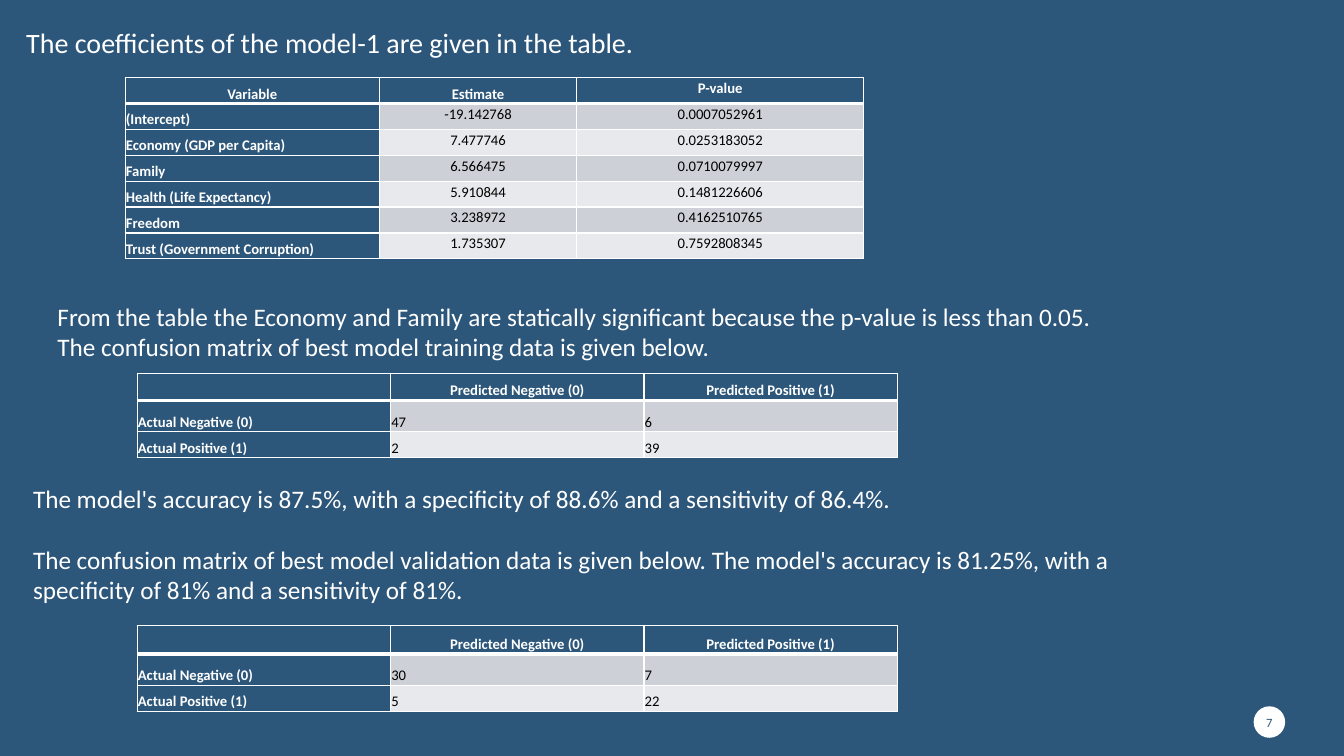
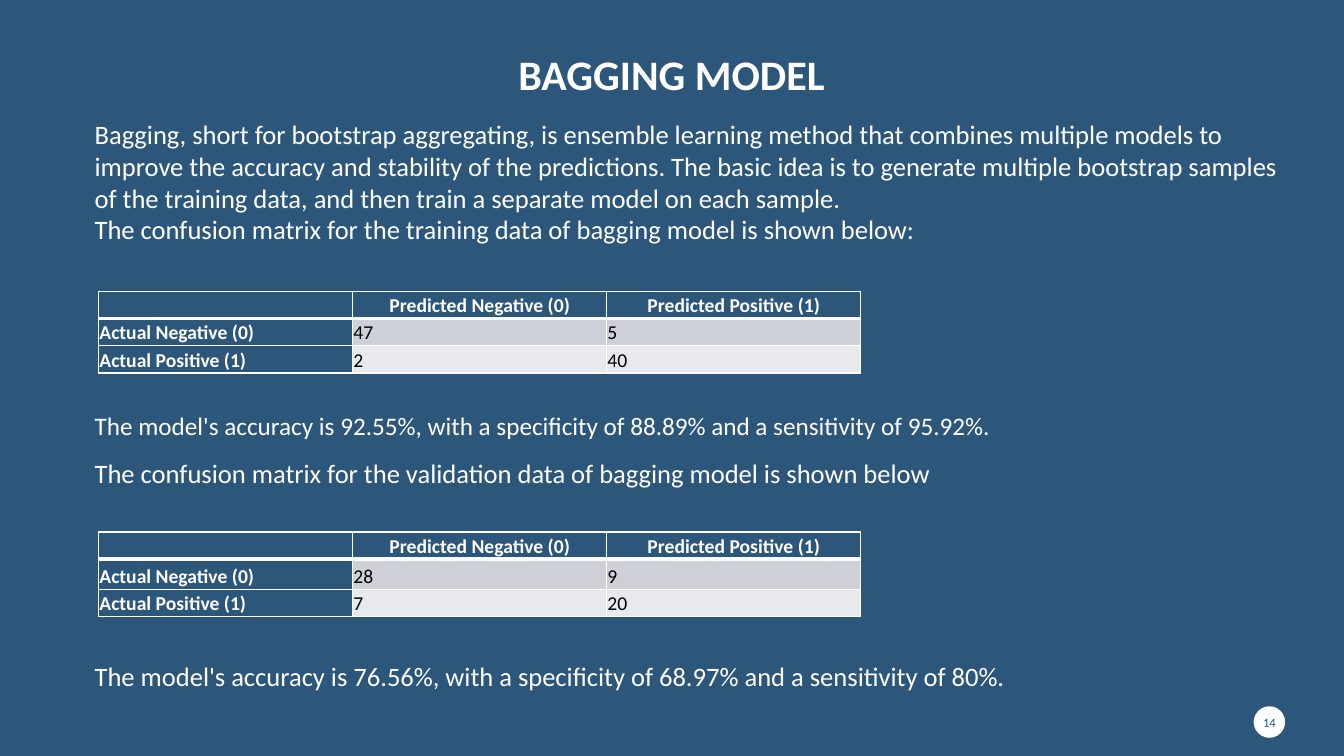
from lxml.etree import SubElement as Sub
from pptx import Presentation
from pptx.dml.color import RGBColor
from pptx.enum.shapes import MSO_SHAPE as Shape
from pptx.enum.text import MSO_ANCHOR as Anchor, MSO_AUTO_SIZE as Auto, PP_ALIGN as Align
from pptx.oxml.ns import qn
from pptx.util import Pt

SCALE = 6350  # EMU per px, 144 px to the inch
WIDE, HIGH = 1920, 1080
FONT = "Calibri"
NAVY, WHITE, BLACK = "2C567A", "FFFFFF", "000000"
BANDS = "CDD1D7", "E8E9EC"


def px(*nums):
    return [n * SCALE for n in nums]


def tint(code):
    return RGBColor.from_string(code)


def paint(fill, code):
    fill.solid()
    fill.fore_color.rgb = tint(code)


def write(para, text, size, color=WHITE, bold=False):
    run = para.add_run()
    run.text = text
    font = run.font
    font.name, font.size, font.bold = FONT, Pt(size), bold
    font.color.rgb = tint(color)


def move(shape, box):
    shape.left, shape.top, shape.width, shape.height = px(*box)


# Text regions
def block(slide, box, lines, size, gap=0):
    frame = slide.shapes.add_textbox(*px(*box)).text_frame
    frame.word_wrap = True
    for i, line in enumerate(lines):
        para = frame.add_paragraph() if i else frame.paragraphs[0]
        if i and gap:
            para.space_before = Pt(gap)
        write(para, line, size)


def fit(shape, box, anchor):
    move(shape, box)
    frame = shape.text_frame
    frame.auto_size = Auto.NONE
    frame.vertical_anchor = anchor
    para = frame.paragraphs[0]
    para.line_spacing = 0.9
    return para


def title(slide, box, text):
    para = fit(slide.shapes.title, box, Anchor.BOTTOM)
    para.alignment = Align.CENTER
    write(para, text, 30, bold=True)


def lead(slide, box, text):
    para = fit(slide.placeholders[1], box, Anchor.TOP)
    para.space_before = Pt(10)
    props = para._p.get_or_add_pPr()
    props.set("marL", "0")
    props.set("indent", "0")
    Sub(props, qn("a:buNone"))
    write(para, text, 20)


def badge(slide, num):
    dot = slide.shapes.add_shape(Shape.OVAL, *px(1791, 1009, 45, 45))
    dot.shadow.inherit = False
    paint(dot.fill, WHITE)
    dot.line.fill.background()
    frame = dot.text_frame
    frame.margin_left = frame.margin_right = frame.margin_top = frame.margin_bottom = 0
    frame.word_wrap = False
    frame.vertical_anchor = Anchor.MIDDLE
    para = frame.paragraphs[0]
    para.alignment = Align.CENTER
    write(para, str(num), 9, NAVY)


# Tables
def edge(cell, row):
    props = cell._tc.get_or_add_tcPr()
    thick = {("lnB", 0), ("lnT", 1)}  # rule under the header row
    for side in ("lnL", "lnR", "lnT", "lnB"):
        width = Pt(3 if (side, row) in thick else 1)
        line = Sub(props, qn("a:" + side), w=str(int(width)))
        Sub(Sub(line, qn("a:solidFill")), qn("a:srgbClr"), val=WHITE)


def grid(slide, at, cols, rows, data, size, mid=False):
    box = *at, sum(cols), sum(rows)
    table = slide.shapes.add_table(len(rows), len(cols), *px(*box)).table
    table.first_row = table.horz_banding = False
    for col, width in zip(table.columns, px(*cols)):
        col.width = width
    for row, height in zip(table.rows, px(*rows)):
        row.height = height
    for r, line in enumerate(data):
        for c, text in enumerate(line):
            head = r == 0 or c == 0
            cell = table.cell(r, c)
            edge(cell, r)
            paint(cell.fill, NAVY if head else BANDS[(r - 1) % 2])
            cell.margin_left = cell.margin_right = px(1)[0]
            cell.margin_top = cell.margin_bottom = px(1)[0]
            cell.vertical_anchor = Anchor.TOP if mid and not head else Anchor.BOTTOM
            para = cell.text_frame.paragraphs[0]
            para.line_spacing, para.space_after = 1.07, Pt(8)
            if r == 0 or (mid and c):
                para.alignment = Align.CENTER
            if text:
                write(para, text, size, WHITE if head else BLACK, head)
            else:
                Sub(para._p, qn("a:endParaRPr"), sz=str(int(size * 100)))
    return table


def matrix(slide, at, col, rows, counts, size):
    data = [["", "Predicted Negative (0)", "Predicted Positive (1)"],
            ["Actual Negative (0)", *counts[:2]],
            ["Actual Positive (1)", *counts[2:]]]
    grid(slide, at, [col] * 3, rows, data, size)


COEFS = [
    ["Variable", "Estimate", "P-value"],
    ["(Intercept)", "-19.142768", "0.0007052961"],
    ["Economy (GDP per Capita)", "7.477746", "0.0253183052"],
    ["Family", "6.566475", "0.0710079997"],
    ["Health (Life Expectancy)", "5.910844", "0.1481226606"],
    ["Freedom", "3.238972", "0.4162510765"],
    ["Trust (Government Corruption)", "1.735307", "0.7592808345"],
]


# Slides
def model(deck):
    slide = deck.slides.add_slide(deck.slide_layouts[1])
    head = slide.shapes.title._element
    head.getparent().remove(head)
    lead(slide, (23, 35, 1873, 104), "The coefficients of the model-1 are given in the table.")
    table = grid(slide, (179, 111), (363, 282, 410), [37] * len(COEFS), COEFS, 10.5, mid=True)
    table.cell(0, 2).vertical_anchor = Anchor.TOP
    block(slide, (68, 423, 1524, 102), [
        "From the table the Economy and Family are statically significant because the p-value is less than 0.05.",
        "The confusion matrix of best model training data is given below."], 18)
    matrix(slide, (196, 533), 362, (39, 45, 37), ("47", "6", "2", "39"), 10.5)
    block(slide, (33, 683, 1704, 189), [
        "The model's accuracy is 87.5%, with a specificity of 88.6% and a sensitivity of 86.4%.",
        "The confusion matrix of best model validation data is given below. The model's accuracy is 81.25%, "
        "with a specificity of 81% and a sensitivity of 81%."], 18, gap=22)
    matrix(slide, (196, 894), 362, (40, 45, 37), ("30", "7", "5", "22"), 10.5)
    badge(slide, 7)


def bagging(deck):
    slide = deck.slides.add_slide(deck.slide_layouts[5])
    left, width = 121, 1731
    title(slide, (164, 65, 1591, 84), "BAGGING MODEL")
    block(slide, (left, 161, width, 199), [
        "Bagging, short for bootstrap aggregating, is ensemble learning method that combines multiple models "
        "to improve the accuracy and stability of the predictions. The basic idea is to generate multiple "
        "bootstrap samples of the training data, and then train a separate model on each sample.",
        "The confusion matrix for the training data of bagging model is shown below:"], 19)
    matrix(slide, (141, 416), 363, (39, 39, 39), ("47", "5", "2", "40"), 14)
    notes = [
        (579, 18, "The model's accuracy is 92.55%, with a specificity of 88.89% and a sensitivity of 95.92%."),
        (645, 19, "The confusion matrix for the validation data of bagging model is shown below"),
        (936, 19, "The model's accuracy is 76.56%, with a specificity of 68.97% and a sensitivity of 80%."),
    ]
    for top, size, text in notes:
        block(slide, (left, top, width, 60), [text], size)
    matrix(slide, (141, 760), 363, (39, 43, 39), ("28", "9", "7", "20"), 14)
    badge(slide, 14)


def main():
    deck = Presentation()
    deck.slide_width, deck.slide_height = px(WIDE, HIGH)
    paint(deck.slide_master.background.fill, NAVY)
    model(deck)
    bagging(deck)
    deck.save("out.pptx")


if __name__ == "__main__":
    main()
